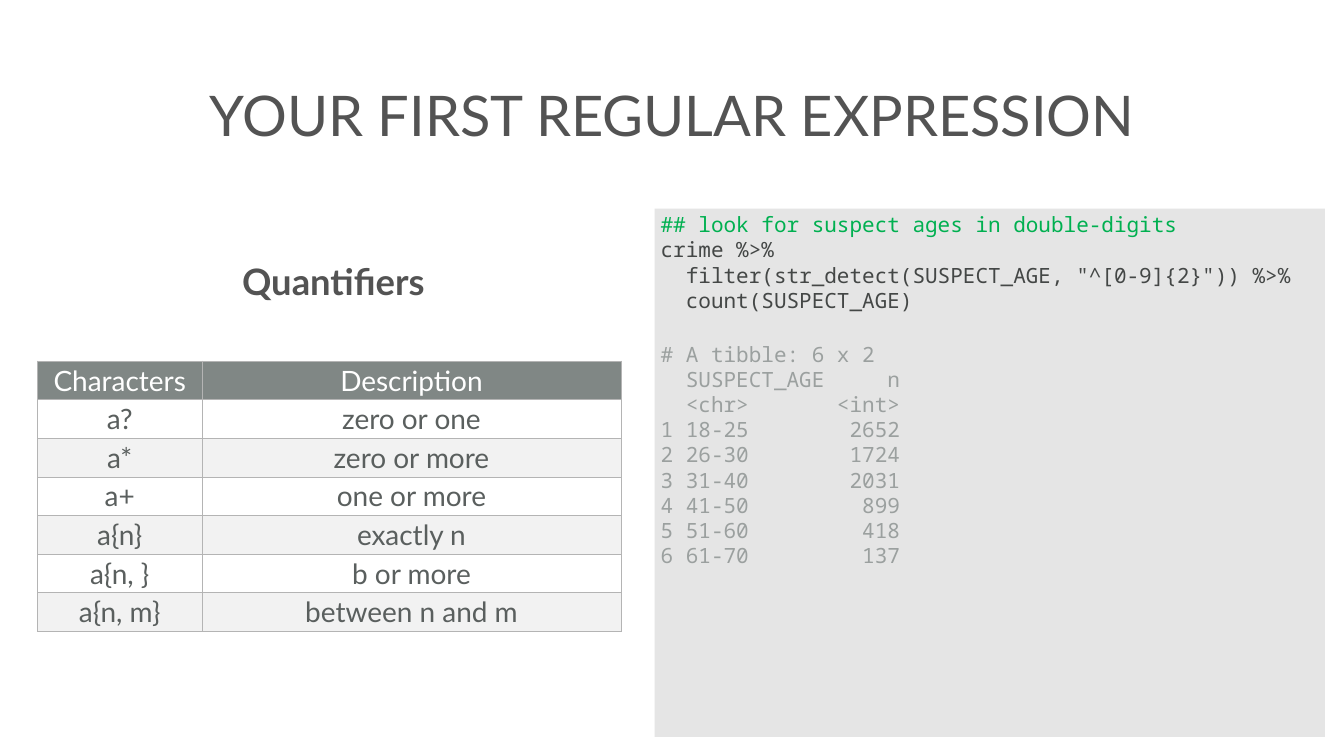
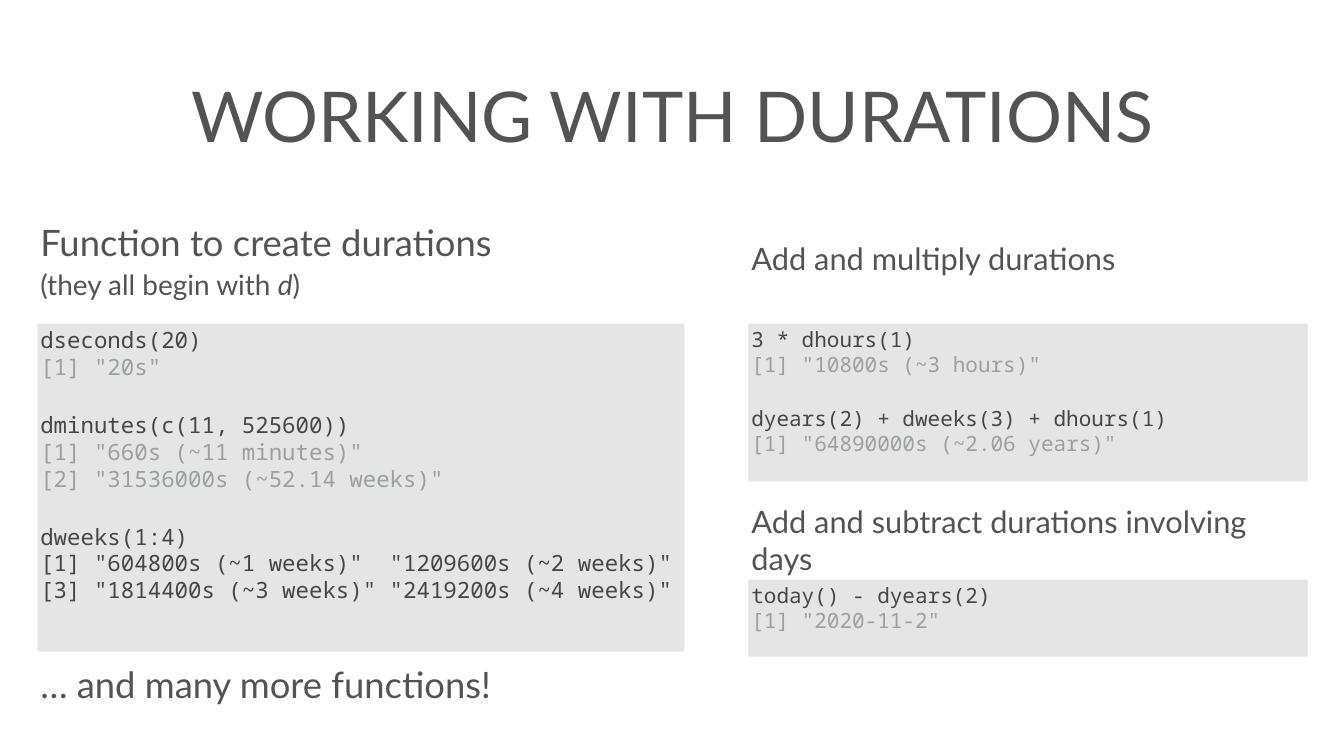
import pptx
import pptx.dml.color
import pptx.enum.shapes
import pptx.enum.text
import pptx.oxml
import pptx.oxml.ns
import pptx.util
from pptx.dml.color import RGBColor
from pptx.util import Inches

HEADING_GREY = RGBColor(0x53, 0x53, 0x53)
PANEL_GREY = RGBColor(0xE5, 0xE5, 0xE5)
CODE = RGBColor(0x44, 0x47, 0x46)
OUTPUT = RGBColor(0x9B, 0xA0, 0x9F)
COMMENT = RGBColor(0x00, 0xB0, 0x50)
WHITE = RGBColor(0xFF, 0xFF, 0xFF)
HEADER_FILL = RGBColor(0x80, 0x87, 0x85)
BAND_FILL = RGBColor(0xF2, 0xF2, 0xF2)
CELL_TEXT = RGBColor(0x5A, 0x5F, 0x5E)
BORDER_HEX = "B4B4B4"

TEXT_FONT = "Lato"
CODE_FONT = "Noto Sans Mono"
CODE_LINE_HEIGHT = 1.362
INSET = 0.06
LEFT_MARGIN = 0.74
TITLE_BOX = (LEFT_MARGIN, 0.39, 25.21, 3.75)

# Each code panel is a list of groups; a blank line separates the groups.
REGEX_CODE = [
    [("## look for suspect ages in double-digits", COMMENT),
     ("crime %>%", CODE),
     ('  filter(str_detect(SUSPECT_AGE, "^[0-9]{2}")) %>%', CODE),
     ("  count(SUSPECT_AGE)", CODE)],
    [("# A tibble: 6 x 2", OUTPUT),
     ("  SUSPECT_AGE     n", OUTPUT),
     ("  <chr>       <int>", OUTPUT),
     ("1 18-25        2652", OUTPUT),
     ("2 26-30        1724", OUTPUT),
     ("3 31-40        2031", OUTPUT),
     ("4 41-50         899", OUTPUT),
     ("5 51-60         418", OUTPUT),
     ("6 61-70         137", OUTPUT)],
]
CREATE_CODE = [
    [("dseconds(20)", CODE),
     ('[1] "20s"', OUTPUT)],
    [("dminutes(c(11, 525600))", CODE),
     ('[1] "660s (~11 minutes)"', OUTPUT),
     ('[2] "31536000s (~52.14 weeks)"', OUTPUT)],
    [("dweeks(1:4)", CODE),
     ('[1] "604800s (~1 weeks)"  "1209600s (~2 weeks)"', CODE),
     ('[3] "1814400s (~3 weeks)" "2419200s (~4 weeks)"', CODE)],
]
MULTIPLY_CODE = [
    [("3 * dhours(1)", CODE),
     ('[1] "10800s (~3 hours)"', OUTPUT)],
    [("dyears(2) + dweeks(3) + dhours(1)", CODE),
     ('[1] "64890000s (~2.06 years)"', OUTPUT)],
]
SUBTRACT_CODE = [
    [("today() - dyears(2)", CODE),
     ('[1] "2020-11-2"', OUTPUT)],
]
QUANTIFIERS = [
    ("Characters", "Description"),
    ("a?", "zero or one"),
    ("a*", "zero or more"),
    ("a+", "one or more"),
    ("a{n}", "exactly n"),
    ("a{n, }", "b or more"),
    ("a{n, m}", "between n and m"),
]


def to_lengths(box):
    return [Inches(value) for value in box]


def set_font(font, name, size, color):
    font.name = name
    font.size = pptx.util.Pt(size)
    font.color.rgb = color


def prepare_frame(shape, anchor, left_inset=INSET):
    frame = shape.text_frame
    frame.word_wrap = True
    frame.vertical_anchor = anchor
    frame.margin_left = Inches(left_inset)
    frame.margin_right = frame.margin_top = frame.margin_bottom = Inches(INSET)
    return frame


def add_text(slide, box, lines, centered=False, bold=False, line_spacing=1.0):
    """Add a vertically centred box; each line is (size, [(text, italic), ...])."""
    shape = slide.shapes.add_textbox(*to_lengths(box))
    frame = prepare_frame(shape, pptx.enum.text.MSO_ANCHOR.MIDDLE)
    alignment = pptx.enum.text.PP_ALIGN
    for index, (size, runs) in enumerate(lines):
        paragraph = frame.add_paragraph() if index else frame.paragraphs[0]
        paragraph.alignment = alignment.CENTER if centered else alignment.LEFT
        paragraph.line_spacing = line_spacing
        set_font(paragraph.font, TEXT_FONT, size, HEADING_GREY)
        paragraph.font.bold = bold
        for text, italic in runs:
            run = paragraph.add_run()
            run.text = text
            if italic:
                run.font.italic = True


def add_heading(slide, box, text, size, **style):
    add_text(slide, box, [(size, [(text, False)])], **style)


def add_code_panel(slide, box, groups, size=30, left_inset=INSET):
    panel = slide.shapes.add_shape(
        pptx.enum.shapes.MSO_SHAPE.RECTANGLE, *to_lengths(box))
    panel.shadow.inherit = False
    panel.fill.solid()
    panel.fill.fore_color.rgb = PANEL_GREY
    panel.line.fill.background()
    frame = prepare_frame(panel, pptx.enum.text.MSO_ANCHOR.TOP, left_inset)
    paragraph = None
    for group in groups:
        for index, (text, color) in enumerate(group):
            starts_later_group = index == 0 and paragraph is not None
            paragraph = frame.add_paragraph() if paragraph else frame.paragraphs[0]
            paragraph.alignment = pptx.enum.text.PP_ALIGN.LEFT
            if starts_later_group:
                paragraph.space_before = pptx.util.Pt(round(size * CODE_LINE_HEIGHT))
            set_font(paragraph.font, CODE_FONT, size, color)
            paragraph.add_run().text = text


def set_borders(cell):
    properties = cell._tc.get_or_add_tcPr()
    namespace = pptx.oxml.ns.nsdecls("a")
    for position, side in enumerate(("lnL", "lnR", "lnT", "lnB")):
        properties.insert(position, pptx.oxml.parse_xml(
            f'<a:{side} {namespace} w="12700"><a:solidFill>'
            f'<a:srgbClr val="{BORDER_HEX}"/></a:solidFill></a:{side}>'))


def add_quantifier_table(slide, box, column_widths):
    table = slide.shapes.add_table(
        len(QUANTIFIERS), len(column_widths), *to_lengths(box)).table
    table.horz_banding = False
    for column, width in zip(table.columns, column_widths):
        column.width = Inches(width)
    for row_index, texts in enumerate(QUANTIFIERS):
        is_header = row_index == 0
        for column_index, text in enumerate(texts):
            cell = table.cell(row_index, column_index)
            cell.text = text
            paragraph = cell.text_frame.paragraphs[0]
            paragraph.alignment = pptx.enum.text.PP_ALIGN.CENTER
            set_font(paragraph.font, TEXT_FONT, 40, WHITE if is_header else CELL_TEXT)
            paragraph.font.bold = False
            if is_header or row_index % 2 == 0:
                cell.fill.solid()
                cell.fill.fore_color.rgb = HEADER_FILL if is_header else BAND_FILL
            else:
                cell.fill.background()
            set_borders(cell)


def add_titled_slide(presentation, title, size):
    slide = presentation.slides.add_slide(presentation.slide_layouts[6])
    add_heading(slide, TITLE_BOX, title, size, centered=True)
    return slide


def build_regex_slide(presentation):
    slide = add_titled_slide(presentation, "YOUR FIRST REGULAR EXPRESSION", 80)
    add_code_panel(slide, (12.99, 4.14, 13.3, 10.48), REGEX_CODE,
                   left_inset=2 * INSET)
    add_heading(slide, (0.81, 4.89, 11.61, 1.35), "Quantifiers", 52,
                centered=True, bold=True)
    add_quantifier_table(slide, (LEFT_MARGIN, 7.16, 11.58, 5.37), (3.27, 8.31))


def add_creation_column(slide, left, top):
    add_text(slide, (left, top, 12.08, 1.87), [
        (52, [("Function to create durations", False)]),
        (40, [("(they all begin with ", False), ("d", True), (")", False)]),
    ], line_spacing=1.1)
    add_code_panel(slide, (left, top + 2.23, 12.84, 6.51), CREATE_CODE, size=32)
    add_heading(slide, (left, top + 8.83, 12.08, 1.03),
                "… and many more functions!", 52, line_spacing=1.1)


def add_arithmetic_column(slide, left, top, width=11.1):
    sections = [
        (0, "Add and multiply durations", 2.23, 3.13, MULTIPLY_CODE),
        (5.58, "Add and subtract durations involving days", 7.31, 1.53, SUBTRACT_CODE),
    ]
    for heading_offset, heading, code_offset, code_height, groups in sections:
        add_heading(slide, (left, top + heading_offset, width, 1.87), heading, 44)
        add_code_panel(slide, (left, top + code_offset, width, code_height), groups)


def build_durations_slide(presentation):
    slide = add_titled_slide(presentation, "WORKING WITH DURATIONS", 100)
    add_creation_column(slide, LEFT_MARGIN, 4.19)
    add_arithmetic_column(slide, 14.85, 4.19)


def main():
    presentation = pptx.Presentation()
    presentation.slide_width = Inches(26.67)
    presentation.slide_height = Inches(15)
    build_regex_slide(presentation)
    build_durations_slide(presentation)
    presentation.save("out.pptx")


if __name__ == "__main__":
    main()
